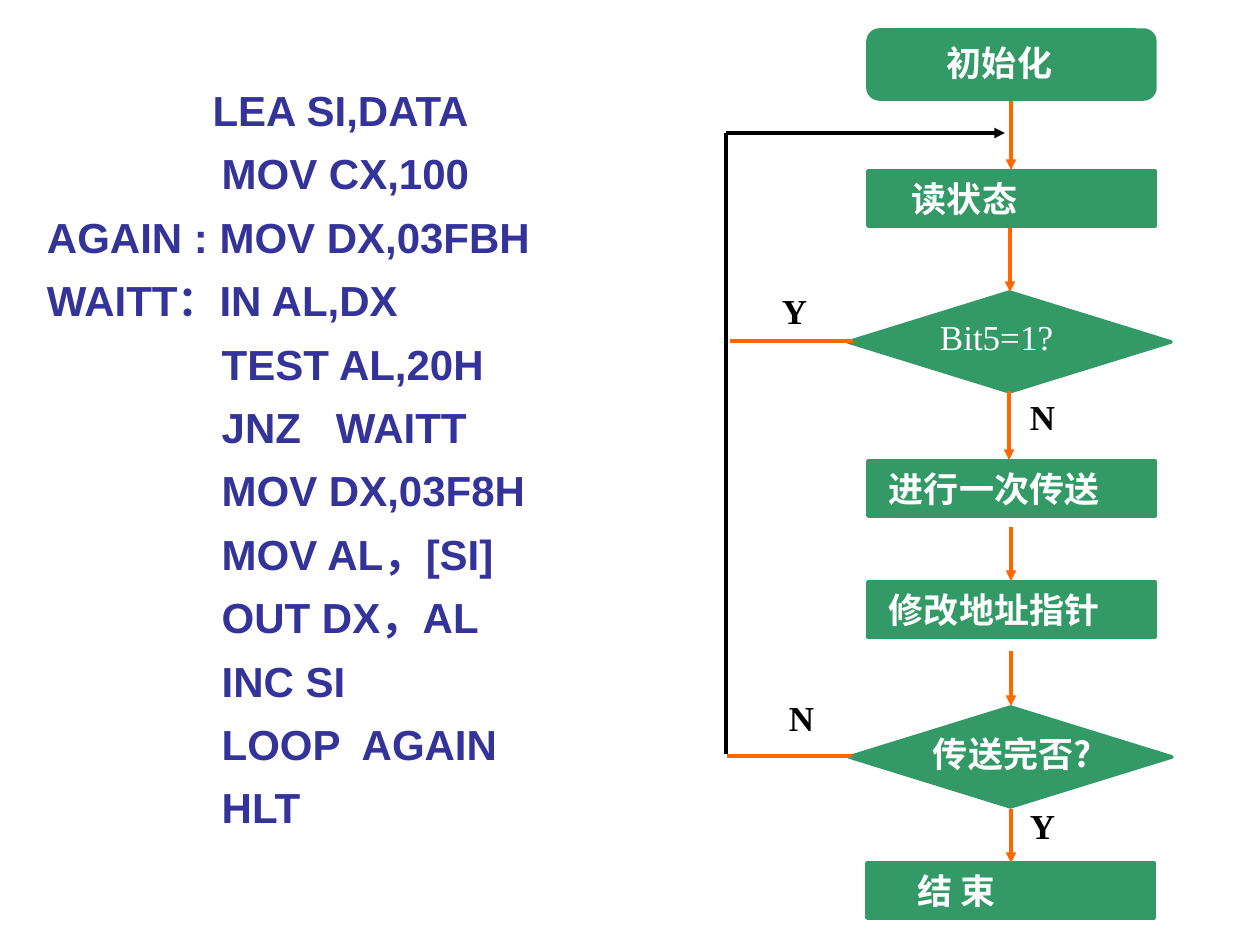
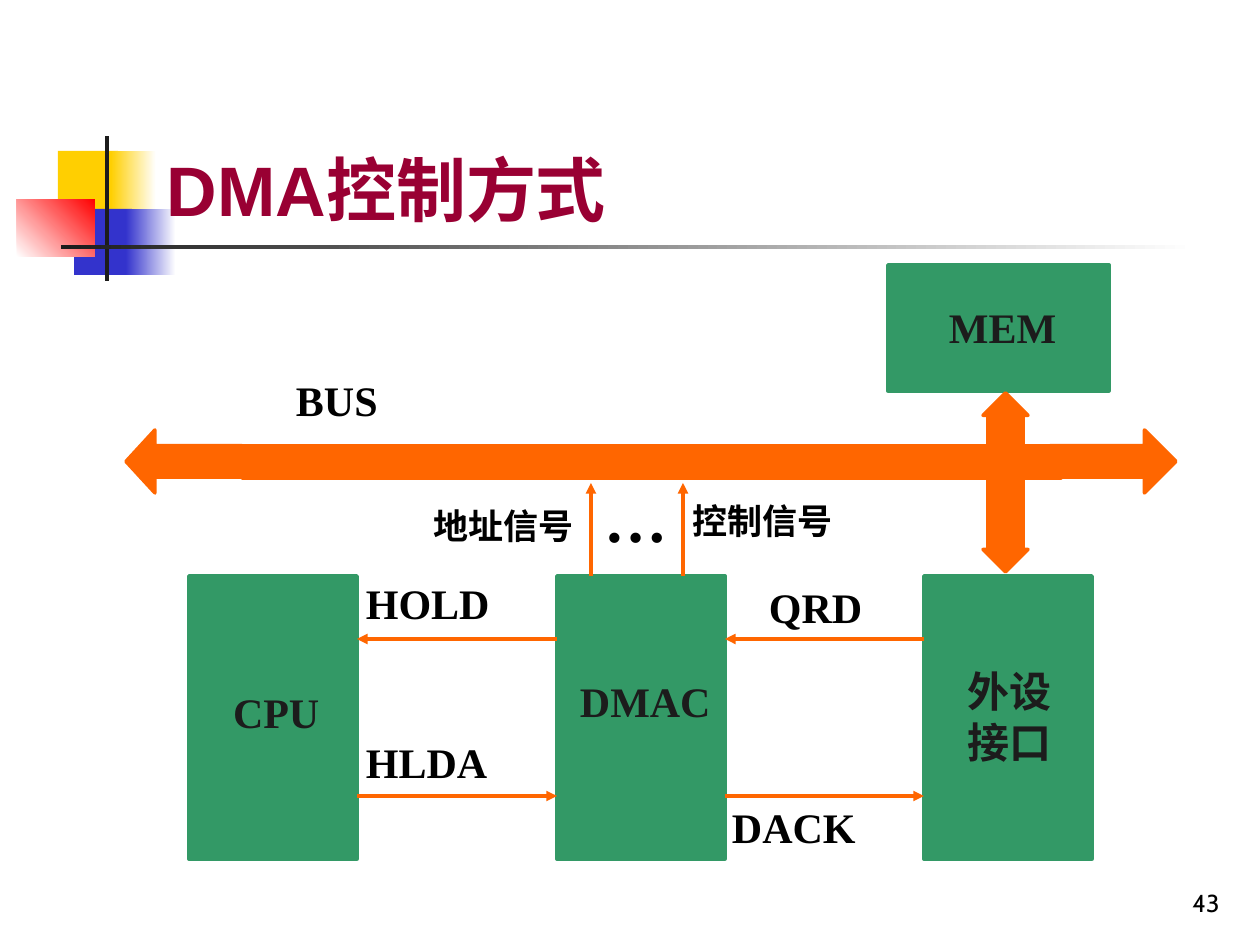
import lxml.etree
import pptx
import pptx.dml.color
import pptx.enum.shapes
import pptx.enum.text
import pptx.oxml.ns
import pptx.util

SHAPE = pptx.enum.shapes.MSO_SHAPE
ANCHOR = pptx.enum.text.MSO_ANCHOR
ALIGN = pptx.enum.text.PP_ALIGN
Pt = pptx.util.Pt
qn = pptx.oxml.ns.qn
RGB = pptx.dml.color.RGBColor.from_string

COLORS = {
    "green": "339966", "orange": "FF6600", "black": "000000",
    "white": "FFFFFF", "ink": "1C1C1C", "code": "333399", "title": "990033",
    "yellow": "FFCF01", "blue": "3333CC", "red": "FF0000",
}
SERIF, SANS, CHINESE = "Times New Roman", "Arial", "Noto Sans CJK SC"
EMU_PER_PX = 914400 / 126


def px(*lengths):
    """Turn px lengths into a list of EMU."""
    return [pptx.util.Emu(round(length * EMU_PER_PX)) for length in lengths]


def draw(page, place, text="", kind=None, fill=None, size=24, font=SERIF,
         color="black", bold=True, indent=13, shape=None):
    """Make a preset shape or text box, or reuse a placeholder, and set its text."""
    if shape:
        shape.left, shape.top, shape.width, shape.height = px(*place)
    elif kind:
        shape = page.shapes.add_shape(kind, *px(*place))
        shape.shadow.inherit = False
        shape.fill.solid()
        shape.fill.fore_color.rgb = RGB(COLORS[fill])
        shape.line.color.rgb = RGB(COLORS[fill])
        shape.line.width = Pt(2)
    else:
        shape = page.shapes.add_textbox(*px(*place))
    if not text:
        return shape
    frame = shape.text_frame
    frame.text = text
    frame.word_wrap = True
    frame.auto_size = pptx.enum.text.MSO_AUTO_SIZE.NONE
    frame.vertical_anchor = ANCHOR.TOP
    frame.margin_left, frame.margin_top = px(indent, 6)
    for para in frame.paragraphs:
        para.alignment = ALIGN.LEFT
        for span in para.runs:
            span.font.size = Pt(size)
            span.font.bold = bold
            span.font.name = font
            span.font.color.rgb = RGB(COLORS[color])
            east_asian = lxml.etree.SubElement(span.font._element, qn("a:ea"))
            east_asian.set("typeface", CHINESE)
    return shape


def draw_line(page, start, end, color="orange", arrow=True):
    line = page.shapes.add_connector(
        pptx.enum.shapes.MSO_CONNECTOR.STRAIGHT, *px(*start, *end))
    line.line.color.rgb = RGB(COLORS[color])
    line.line.width = Pt(2)
    if arrow:
        tail = lxml.etree.SubElement(line.line._get_or_add_ln(), qn("a:tailEnd"))
        tail.set("type", "triangle")
    lxml.etree.SubElement(line._element.spPr, qn("a:effectLst"))


deck = pptx.Presentation()
deck.slide_width, deck.slide_height = px(1260, 945)

# Slide 1: program listing and its flowchart
page = deck.slides.add_slide(deck.slide_layouts[1])
title = page.shapes.title._element
title.getparent().remove(title)

PROGRAM = """\
                 LEA SI,DATA
               MOV CX,100
AGAIN : MOV DX,03FBH
WAITT：IN AL,DX
               TEST AL,20H
               JNZ   WAITT
               MOV DX,03F8H
               MOV AL，[SI]
               OUT DX，AL
               INC SI
               LOOP  AGAIN
               HLT"""
listing = draw(page, (34, 76, 664, 784), PROGRAM, font=SANS, color="code",
               shape=page.placeholders[1])
for number, para in enumerate(listing.text_frame.paragraphs):
    properties = para._p.get_or_add_pPr()
    hanging = px(48)[0]
    properties.set("marL", str(hanging))
    properties.set("indent", str(-hanging))
    lxml.etree.SubElement(properties, qn("a:buNone"))
    para.line_spacing = 1.05
    para.space_before = Pt(6 if number else 0)

# The first line is indented with smaller spaces
first = listing.text_frame.paragraphs[0]
instruction = first.runs[0]
span = first.add_run()
span.text = instruction.text.lstrip()
instruction.text = " " * 17
span.font.size, span.font.bold, span.font.name = Pt(24), True, SANS
span.font.color.rgb = RGB(COLORS["code"])
instruction.font.size = Pt(20)

for left, top, text, indent in [
    (868, 171, "读状态", 44), (868, 461, "进行一次传送", 21),
    (868, 582, "修改地址指针", 21), (867, 863, "结 束", 51),
]:
    draw(page, (left, top, 287, 55), text, SHAPE.RECTANGLE, "green", 20,
         CHINESE, "white", indent=indent)

draw(page, (868, 30, 287, 69), kind=SHAPE.FLOWCHART_ALTERNATE_PROCESS, fill="green")
for left, top in [(848, 292), (849, 707)]:
    draw(page, (left, top, 323, 100), kind=SHAPE.FLOWCHART_DECISION, fill="green")

for place, text, font, bold, indent in [
    ((927, 35, 189, 55), "初始化", CHINESE, True, 20),
    ((927, 309, 179, 55), "Bit5=1?", SERIF, False, 13),
    ((920, 726, 236, 55), "传送完否?", CHINESE, True, 13),
]:
    draw(page, place, text, size=20, font=font, color="white", bold=bold,
         indent=indent)

for left, top, answer in [
    (769, 283, "Y"), (1017, 389, "N"), (776, 690, "N"), (1017, 798, "Y"),
]:
    draw(page, (left, top, 59, 55), answer, size=20)

for x, top, bottom in [
    (1011, 101, 170), (1010, 228, 292), (1009, 391, 460),
    (1011, 527, 581), (1011, 651, 706), (1011, 809, 863),
]:
    draw_line(page, (x, top), (x, bottom))
draw_line(page, (853, 341), (730, 341), arrow=False)
draw_line(page, (852, 756), (727, 756), arrow=False)
draw_line(page, (726, 754), (726, 133), "black", arrow=False)
draw_line(page, (726, 133), (1005, 133), "black")

# Slide 2: DMA block diagram
page = deck.slides.add_slide(deck.slide_layouts[5])
for place, start, end, angle in [
    ((58, 151, 60, 66), "yellow", None, 0),
    ((111, 151, 45, 66), "yellow", "white", 0),
    ((74, 209, 58, 66), "blue", None, 0),
    ((126, 209, 50, 66), "blue", "white", 0),
    ((17, 199, 78, 58), "white", "red", 45),
    ((105, 136, 4, 145), "ink", None, 0),
    ((61, 245, 1134, 4), "ink", "white", 0),
]:
    patch = draw(page, place, kind=SHAPE.RECTANGLE, fill=start)
    patch.line.fill.background()
    if end:
        patch.fill.gradient()
        patch.fill.gradient_angle = angle
        for stop, color in zip(patch.fill.gradient_stops, (start, end)):
            stop.color.rgb = RGB(COLORS[color])

title = draw(page, (154, 35, 1074, 202), "DMA控制方式", size=40, font=SANS,
             color="title", shape=page.shapes.title)
title.text_frame.vertical_anchor = ANCHOR.BOTTOM
page.shapes._spTree.append(title._element)  # in front of the coloured patches

number = draw(page, (970, 861, 262, 63), "43", size=14, font="Cabin", bold=False)
number.text_frame.vertical_anchor = ANCHOR.BOTTOM
number.text_frame.paragraphs[0].alignment = ALIGN.RIGHT

for left in (189, 557, 924):
    draw(page, (left, 576, 168, 283), kind=SHAPE.RECTANGLE, fill="green")
draw(page, (888, 265, 221, 126), kind=SHAPE.RECTANGLE, fill="green")

for kind, place, adjustments in [
    (SHAPE.UP_DOWN_ARROW, (983, 393, 45, 179), (0.5, 0.78)),
    (SHAPE.LEFT_ARROW, (126, 430, 116, 63), (0.5, 0.46)),
    (SHAPE.RIGHT_ARROW, (1050, 430, 126, 63), (0.5, 0.5)),
    (SHAPE.RECTANGLE, (242, 446, 819, 32), ()),
]:
    arrow = draw(page, place, kind=kind, fill="orange")
    for index, value in enumerate(adjustments):
        arrow.adjustments[index] = value

for start, end in [
    ((924, 639), (725, 639)), ((557, 639), (357, 639)),
    ((357, 796), (557, 796)), ((725, 796), (924, 796)),
    ((591, 576), (591, 483)), ((683, 576), (683, 483)),
]:
    draw_line(page, start, end)

for place, text, size, color in [
    ((567, 670, 174, 63), "DMAC", 24, "ink"),
    ((955, 660, 116, 113), "外设\n接口", 24, "ink"),
    ((220, 681, 147, 63), "CPU", 24, "ink"),
    ((936, 296, 174, 63), "MEM", 24, "ink"),
    ((756, 576, 147, 63), "QRD", 24, "black"),
    ((719, 796, 168, 63), "DACK", 24, "black"),
    ((353, 572, 179, 63), "HOLD", 24, "black"),
    ((353, 731, 179, 63), "HLDA", 24, "black"),
    ((592, 474, 116, 88), "…", 36, "black"),
    ((283, 369, 126, 63), "BUS", 24, "black"),
    ((679, 493, 210, 55), "控制信号", 20, "black"),
    ((420, 498, 210, 55), "地址信号", 20, "black"),
]:
    draw(page, place, text, size=size, color=color)

deck.save("out.pptx")
